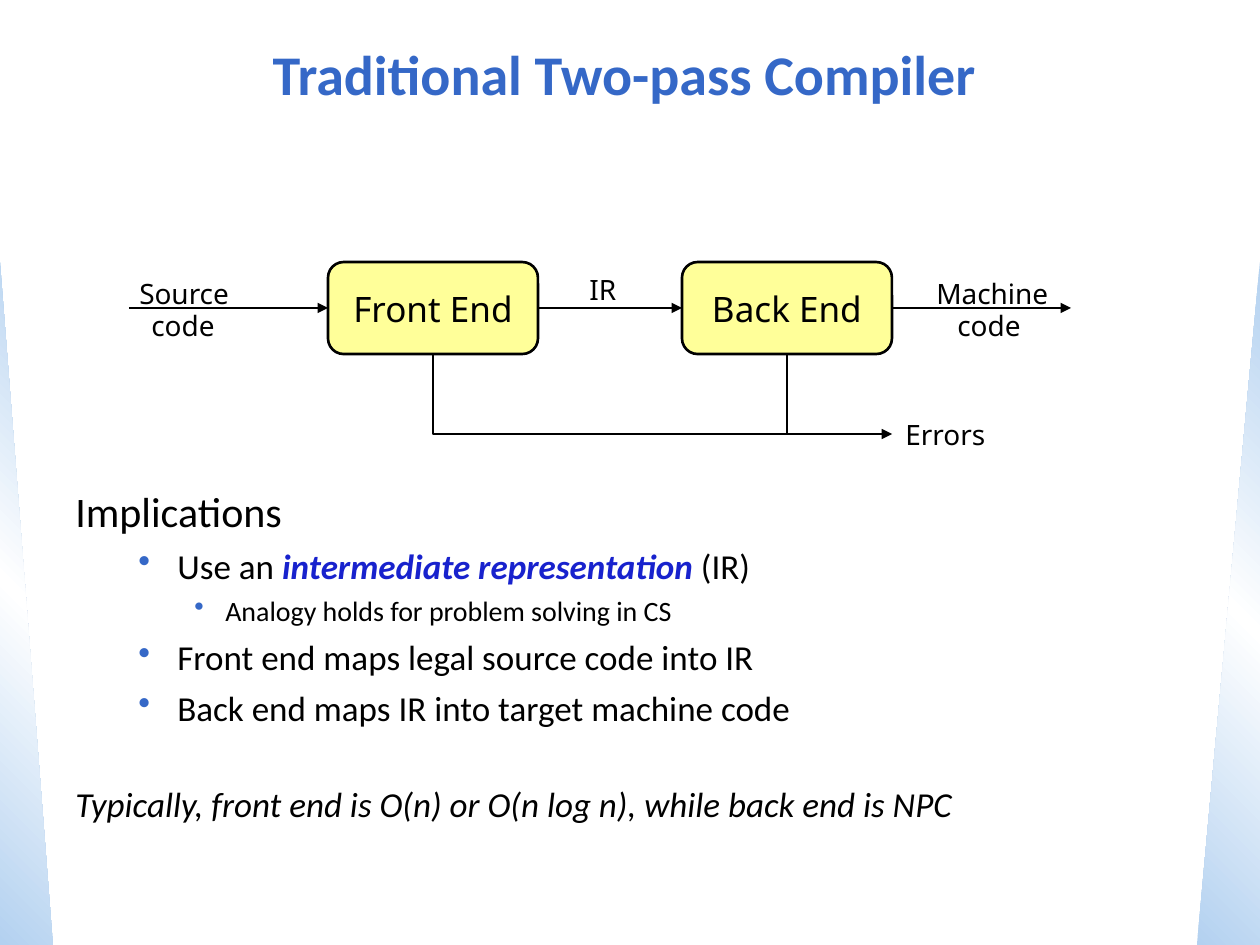
from dataclasses import dataclass

from lxml.etree import SubElement
from pptx import Presentation
from pptx.dml.color import RGBColor
from pptx.enum.shapes import MSO_CONNECTOR as Connector, MSO_SHAPE as Shape
from pptx.enum.text import MSO_ANCHOR as Anchor, MSO_AUTO_SIZE as AutoSize, PP_ALIGN as Align
from pptx.oxml.ns import qn
from pptx.util import Emu, Pt

PX_PER_INCH = 126
TOP, LEFT, BOTTOM, RIGHT = range(4)


@dataclass(frozen=True)
class Theme:
    ink: str = "000000"
    accent: str = "3568C7"
    emphasis: str = "1822CD"
    box: str = "FFFF99"
    edge_blue: str = "B3D1F0"
    edge_white: str = "FFFFFF"
    body_font: str = "Calibri"
    diagram_font: str = "Noto Sans"
    title_size: int = 32
    heading_size: int = 24
    point_size: int = 20
    small_size: int = 16


THEME = Theme()


def px(length):
    return Emu(round(length * 914400 / PX_PER_INCH))


def color(value):
    return RGBColor.from_string(value)


def write(paragraph, text, *, size, font=THEME.body_font, ink=THEME.ink, bold=False, italic=False):
    run = paragraph.add_run()
    run.text = text
    run.font.name = font
    run.font.size = Pt(size)
    run.font.color.rgb = color(ink)
    run.font.bold = bold
    run.font.italic = italic


class SlideBuilder:
    def __init__(self, slide, theme):
        self.slide = slide
        self.theme = theme

    def edge(self, left, top, width, height, angle, flipped=False):
        shape = self.slide.shapes.add_shape(
            Shape.RIGHT_TRIANGLE, px(left), px(top), px(width), px(height))
        shape.shadow.inherit = False
        shape.line.fill.background()
        shape.fill.gradient()
        properties = shape._element.spPr
        if flipped:
            properties.find(qn("a:xfrm")).set("flipH", "1")
        gradient = properties.find(qn("a:gradFill"))
        gradient.find(qn("a:lin")).set("ang", str(angle * 60000))
        stops = gradient.find(qn("a:gsLst"))
        for stop in list(stops):
            stops.remove(stop)
        blue, white = self.theme.edge_blue, self.theme.edge_white
        for percent, value in ((0, blue), (50, white), (100, blue)):
            stop = SubElement(stops, qn("a:gs"), pos=str(percent * 1000))
            SubElement(stop, qn("a:srgbClr"), val=value)

    def text_box(self, left, top, width, height):
        shape = self.slide.shapes.add_textbox(px(left), px(top), px(width), px(height))
        shape.text_frame.word_wrap = True
        return shape.text_frame

    def title(self, text, left, top, width, height):
        frame = self.text_box(left, top, width, height)
        frame.vertical_anchor = Anchor.MIDDLE
        paragraph = frame.paragraphs[0]
        paragraph.alignment = Align.CENTER
        write(paragraph, text, size=self.theme.title_size, ink=self.theme.accent, bold=True)

    def label(self, text, left, top, width, height=47):
        frame = self.text_box(left, top, width, height)
        frame.word_wrap = False
        frame.auto_size = AutoSize.SHAPE_TO_FIT_TEXT
        write(frame.paragraphs[0], text, size=self.theme.small_size, font=self.theme.diagram_font)

    def stage(self, text, left, top, width, height):
        shape = self.slide.shapes.add_shape(
            Shape.ROUNDED_RECTANGLE, px(left), px(top), px(width), px(height))
        shape.shadow.inherit = False
        shape.adjustments[0] = 0.17
        shape.fill.solid()
        shape.fill.fore_color.rgb = color(self.theme.box)
        shape.line.color.rgb = color(self.theme.ink)
        shape.line.width = Pt(1.5)
        frame = shape.text_frame
        frame.word_wrap = False
        frame.vertical_anchor = Anchor.MIDDLE
        paragraph = frame.paragraphs[0]
        paragraph.alignment = Align.CENTER
        write(paragraph, text, size=self.theme.point_size, font=self.theme.diagram_font)
        return shape

    def line(self, start, end, source=None, target=None, arrow=True, kind=Connector.STRAIGHT):
        connector = self.slide.shapes.add_connector(kind, *map(px, start + end))
        if source:
            connector.begin_connect(*source)
        if target:
            connector.end_connect(*target)
        connector.line.color.rgb = color(self.theme.ink)
        connector.line.width = Pt(0.75)
        if arrow:
            SubElement(connector.line._get_or_add_ln(), qn("a:tailEnd"), type="triangle")
        SubElement(connector._element.spPr, qn("a:effectLst"))
        return connector

    def down_then_right(self, start, end):
        middle_x, middle_y = (start[0] + end[0]) / 2, (start[1] + end[1]) / 2
        half_width, half_height = (end[1] - start[1]) / 2, (end[0] - start[0]) / 2
        connector = self.line(
            (middle_x - half_width, middle_y - half_height),
            (middle_x + half_width, middle_y + half_height), kind=Connector.ELBOW)
        connector.rotation = 270
        properties = connector._element.spPr
        properties.find(qn("a:xfrm")).set("flipH", "1")
        properties.find(qn("a:prstGeom")).set("prst", "bentConnector2")

    def body(self, rows, left, top, width, height):
        frame = self.text_box(left, top, width, height)
        indents = ((48, 48), (102, 39), (150, 31))
        for index, (level, size, space, runs) in enumerate(rows):
            paragraph = frame.add_paragraph() if index else frame.paragraphs[0]
            paragraph.level = level
            margin, hanging = indents[level]
            properties = paragraph._p.get_or_add_pPr()
            properties.set("marL", str(px(margin)))
            properties.set("indent", str(-px(hanging)))
            if level:
                bullet_color = SubElement(properties, qn("a:buClr"))
                SubElement(bullet_color, qn("a:srgbClr"), val=self.theme.accent)
                SubElement(properties, qn("a:buChar"), char="•")
            if index:
                paragraph.space_before = Pt(space)
            for text, style in runs:
                write(paragraph, text, size=size, **style)


def main():
    presentation = Presentation()
    presentation.slide_width, presentation.slide_height = px(1260), px(945)
    slide = presentation.slides.add_slide(presentation.slide_layouts[6])
    builder = SlideBuilder(slide, THEME)

    builder.edge(0, 262, 53, 683, 135)
    builder.edge(1197, 262, 63, 683, 225, flipped=True)
    builder.title("Traditional Two-pass Compiler", 31, 21, 1187, 105)

    plain, italic = {}, {"italic": True}
    emphasis = {"italic": True, "bold": True, "ink": THEME.emphasis}
    point = THEME.point_size
    builder.body([
        (0, THEME.heading_size, 0, [("Implications", plain)]),
        (1, point, 5, [("Use an ", plain), ("intermediate representation", emphasis),
                       (" (IR)", plain)]),
        (2, THEME.small_size, 4, [("Analogy holds for problem solving in CS", plain)]),
        (1, point, 5, [("Front end maps legal source code into IR", plain)]),
        (1, point, 5, [("Back end maps IR into target machine code", plain)]),
        (0, point, 31, [("Typically, front end is O(n) or O(n log n), while back end is NPC",
                         italic)]),
    ], 63, 479, 1134, 425)

    front, back = (builder.stage(text, left, 262, 210, 92)
                   for text, left in (("Front End", 328), ("Back End", 682)))
    builder.line((129, 308), (328, 308), target=(front, LEFT))
    builder.line((538, 308), (682, 308), source=(front, RIGHT), target=(back, LEFT))
    builder.line((892, 308), (1071, 308), source=(back, RIGHT))
    builder.line((787, 354), (787, 433), source=(back, BOTTOM), arrow=False)
    builder.down_then_right((433, 354), (892, 434))

    for text, left, top, width in (
            ("Source", 127, 270, 115), ("code", 139, 302, 88), ("IR", 577, 266, 52),
            ("Machine", 924, 270, 137), ("code", 945, 302, 88), ("Errors", 893, 411, 106)):
        builder.label(text, left, top, width)

    presentation.save("out.pptx")


if __name__ == "__main__":
    main()
